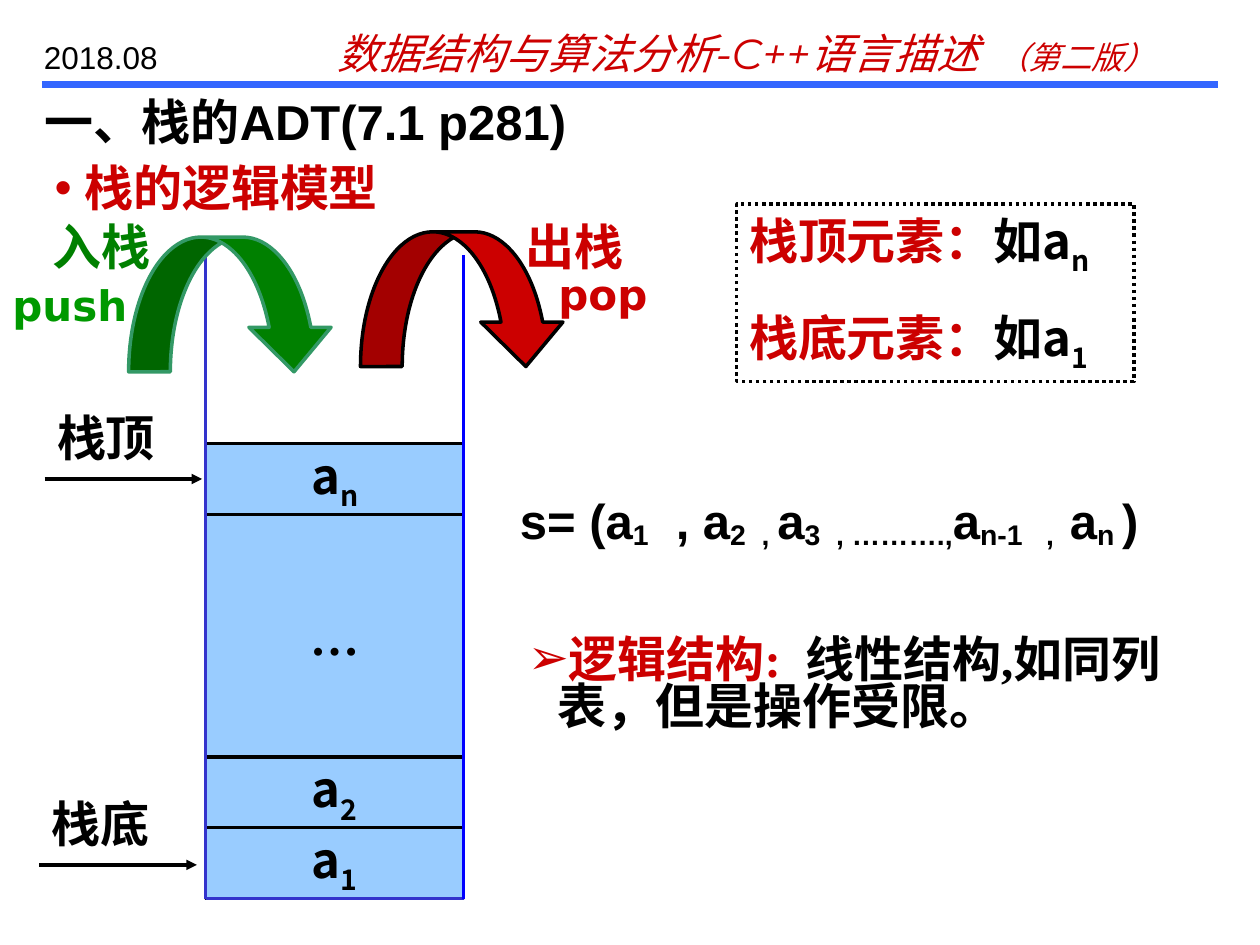
from dataclasses import dataclass

from lxml import etree
from pptx import Presentation
from pptx.dml.color import RGBColor
from pptx.enum import dml, shapes, text
from pptx.oxml.ns import qn
from pptx.util import Pt

BLACK, RED, GREEN = "000000", "CC0000", "008000"
CJK, SANS, ARIAL, TIMES = "Noto Sans CJK SC", "DejaVu Sans", "Arial", "Times New Roman"
STACK_LEFT, STACK_RIGHT, STACK_BOTTOM = 117.5, 265, 513.5
FRAME = {
    "word_wrap": True,
    "auto_size": text.MSO_AUTO_SIZE.NONE,
    "vertical_anchor": text.MSO_ANCHOR.TOP,
    "margin_left": Pt(7.2),
    "margin_right": Pt(7.2),
    "margin_top": Pt(3.6),
    "margin_bottom": Pt(3.6),
}
CELL_FRAME = {
    "word_wrap": False,
    "vertical_anchor": text.MSO_ANCHOR.MIDDLE,
    "margin_top": Pt(1.4),
    "margin_bottom": Pt(1.4),
}


@dataclass
class Piece:
    words: str
    color: str = BLACK
    font: str = CJK
    size: float = 28
    bold: bool = True
    italic: bool = False
    baseline: int = 0


@dataclass
class Cell:
    pieces: list[Piece]
    height: float


@dataclass
class Pointer:
    label: str
    left: float
    top: float


@dataclass
class Move:
    """A curved arrow with a Chinese label and an English one."""
    left: float
    top: float
    fill: str
    line: str
    label: Piece
    label_at: tuple[float, float]
    english: Piece
    english_at: tuple[float, float]


def color_of(value: str) -> RGBColor:
    return RGBColor.from_string(value)


def apply(target, values: dict) -> None:
    for name, value in values.items():
        setattr(target, name, value)


def place(shape, left: float, top: float, width: float, height: float) -> None:
    apply(shape, {"left": Pt(left), "top": Pt(top), "width": Pt(width), "height": Pt(height)})


def write(shape, paragraphs: list[list[Piece]], frame: dict | None = None, **formats) -> None:
    """Fill a shape with paragraphs; formats apply to every paragraph."""
    box = shape.text_frame
    apply(box, FRAME | (frame or {}))
    for number, pieces in enumerate(paragraphs):
        para = box.add_paragraph() if number else box.paragraphs[0]
        apply(para, {"alignment": text.PP_ALIGN.LEFT, "space_before": Pt(0)} | formats)
        for piece in pieces:
            span = para.add_run()
            span.text = piece.words
            apply(span.font, {"name": piece.font, "size": Pt(piece.size),
                              "bold": piece.bold, "italic": piece.italic})
            span.font.color.rgb = color_of(piece.color)
            props = span.font._element
            etree.SubElement(props, qn("a:ea")).set("typeface", CJK)
            if piece.baseline:
                props.set("baseline", str(piece.baseline * 1000))


def add_text(page, left, top, width, height, pieces: list[Piece], **frame) -> None:
    box = page.shapes.add_textbox(Pt(left), Pt(top), Pt(width), Pt(height))
    write(box, [pieces], frame)


def add_bullet(shape, mark: str, indent: float = 17) -> None:
    props = shape.text_frame.paragraphs[0]._p.get_or_add_pPr()
    props.set("marL", str(Pt(indent)))
    props.set("indent", str(-Pt(indent)))
    tint = etree.SubElement(props, qn("a:buClr"))
    etree.SubElement(tint, qn("a:srgbClr")).set("val", RED)
    etree.SubElement(props, qn("a:buChar")).set("char", mark)


def add_line(page, x1, y1, x2, y2, color: str, width: float = 2, arrow: bool = False) -> None:
    line = page.shapes.add_connector(shapes.MSO_CONNECTOR.STRAIGHT,
                                     Pt(x1), Pt(y1), Pt(x2), Pt(y2))
    line.line.color.rgb = color_of(color)
    line.line.width = Pt(width)
    if arrow:
        etree.SubElement(line.line._get_or_add_ln(), qn("a:tailEnd")).set("type", "triangle")
    etree.SubElement(line._element.spPr, qn("a:effectLst"))


def add_preset(page, kind, left, top, width, height, fill: str | None, line: str):
    shape = page.shapes.add_shape(kind, Pt(left), Pt(top), Pt(width), Pt(height))
    shape.shadow.inherit = False
    if fill:
        shape.fill.solid()
        shape.fill.fore_color.rgb = color_of(fill)
    else:
        shape.fill.background()
    shape.line.color.rgb = color_of(line)
    shape.line.width = Pt(2)
    return shape


def element(index: str) -> list[Piece]:
    return [Piece("a"), Piece(index, baseline=-25)]


def add_pointer(page, pointer: Pointer) -> None:
    left, top = pointer.left, pointer.top
    add_line(page, left, top + 44.2, left + 90, top + 44.2, BLACK, arrow=True)
    add_text(page, left, top, 90, 41, [Piece(pointer.label)])


def add_move(page, move: Move) -> None:
    arrow = add_preset(page, shapes.MSO_SHAPE.CURVED_DOWN_ARROW, move.left, move.top,
                       118, 77, move.fill, move.line)
    for number, value in enumerate((0.31, 0.61, 0.33)):
        arrow.adjustments[number] = value
    add_text(page, *move.label_at, 85, 41, [move.label])
    add_text(page, *move.english_at, 84, 36, [move.english])


def build() -> None:
    deck = Presentation()
    deck.slide_width, deck.slide_height = Pt(720), Pt(540)
    page = deck.slides.add_slide(deck.slide_layouts[3])
    title, model, structure = page.placeholders

    # Header
    add_line(page, 24, 48.5, 696, 48.5, "3366FF", 4)
    heading = {"color": RED, "font": "Montserrat", "bold": False, "italic": True}
    add_text(page, 186, 12, 504, 36, [Piece("数据结构与算法分析-C++语言描述  ", size=24, **heading),
                                      Piece("（第二版）", size=18, **heading)])
    add_text(page, 18, 18, 102, 29, [Piece("2018.08", font=ARIAL, size=18, bold=False)])

    # Title and lists
    place(title, 18, 48.5, 702, 36)
    write(title, [[Piece("一、栈的ADT(7.1 p281)", font=ARIAL)]])
    place(model, 24, 90, 696, 41)
    write(model, [[Piece("栈的逻辑模型", RED, SANS)]], line_spacing=0.9)
    add_bullet(model, "•")
    place(structure, 294.5, 360, 396, 65)
    write(structure, [[Piece("逻辑结构:  ", RED, TIMES),
                       Piece("线性结构,如同列表，但是操作受限。", font=TIMES)]],
          {"vertical_anchor": text.MSO_ANCHOR.MIDDLE}, line_spacing=0.8)
    add_bullet(structure, "➢")

    # Stack cells, from the bottom up
    bottom = STACK_BOTTOM
    for cell in (Cell(element("1"), 40.5), Cell(element("2"), 40.5),
                 Cell([Piece("…", font=TIMES)], 138.5), Cell(element("n"), 40.5)):
        bottom -= cell.height
        box = add_preset(page, shapes.MSO_SHAPE.RECTANGLE, STACK_LEFT, bottom,
                         STACK_RIGHT - STACK_LEFT, cell.height, "99CCFF", BLACK)
        write(box, [cell.pieces], CELL_FRAME, alignment=text.PP_ALIGN.CENTER)

    # Stack walls
    add_line(page, STACK_LEFT, 146, STACK_LEFT, 514, "3333CC")
    add_line(page, STACK_LEFT, STACK_BOTTOM, STACK_RIGHT, STACK_BOTTOM, "3333CC")
    add_line(page, STACK_RIGHT, 514, STACK_RIGHT, 146, "0000FF")

    # Top and bottom pointers
    for pointer in (Pointer("栈底", 22.5, 450), Pointer("栈顶", 25.5, 229.5)):
        add_pointer(page, pointer)

    # Definitions
    legend = add_preset(page, shapes.MSO_SHAPE.RECTANGLE, 421, 116.5, 227, 101.5, None, BLACK)
    legend.line.dash_style = dml.MSO_LINE.ROUND_DOT
    write(legend, [[Piece(name, RED), Piece("如a"), Piece(index, baseline=-25)]
                   for name, index in (("栈顶元素：", "n"), ("栈底元素：", "1"))])
    legend.text_frame.paragraphs[1].space_before = Pt(17.5)

    # Sequence: normal and lowered pieces take turns
    sequence = ("s= (a", "1", "  , a", "2  , ", "a", "3  , ……….,", "a", "n-1   ,  ", "a", "n ", ")")
    add_text(page, 290, 277, 444, 42, [Piece(words, font=ARIAL, baseline=-12 * (number % 2))
                                       for number, words in enumerate(sequence)])

    # Push and pop
    for move in (
        Move(73.5, 135.5, GREEN, "339966", Piece("入栈", GREEN), (23, 120),
             Piece("push", "009900", SANS, 24), (0, 156)),
        Move(206, 132.5, RED, BLACK, Piece("出栈", RED), (293, 120),
             Piece("pop", RED, SANS, 24), (312, 150)),
    ):
        add_move(page, move)

    deck.save("out.pptx")


if __name__ == "__main__":
    build()
